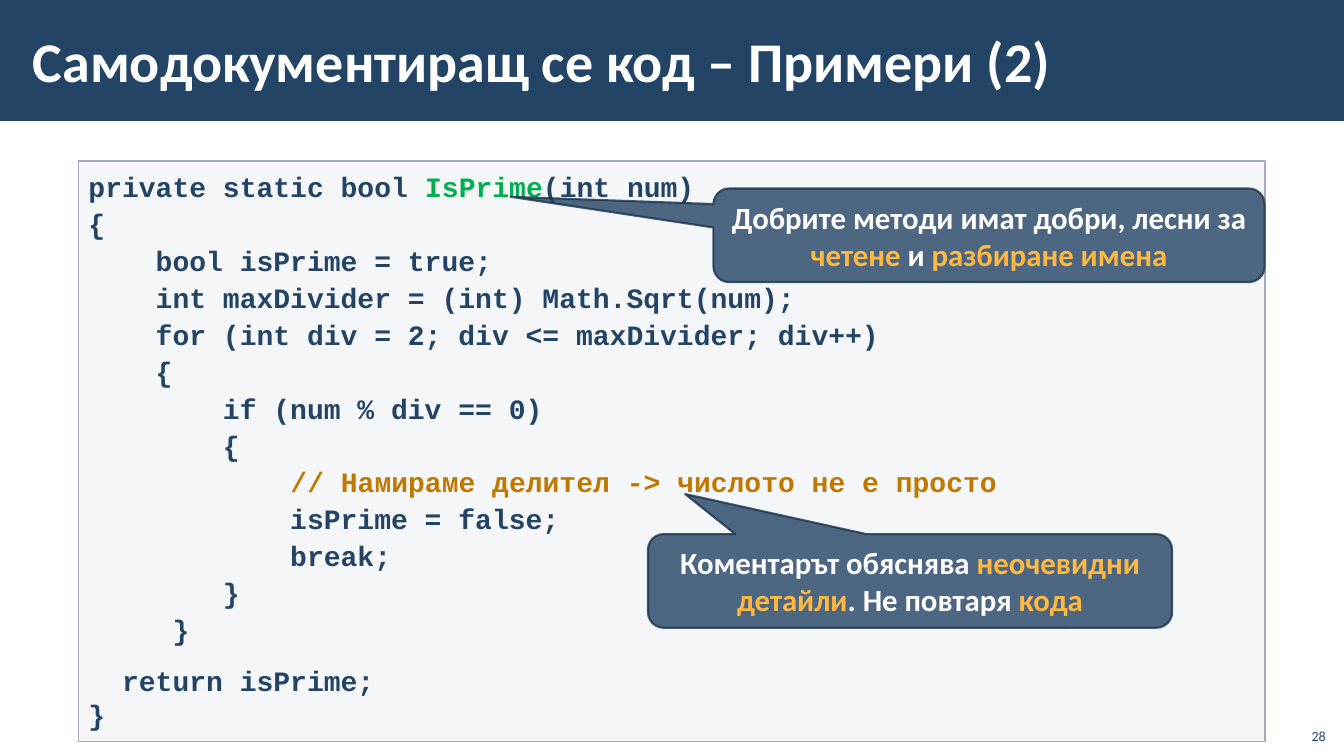
from lxml import etree
from pptx import Presentation
from pptx.dml.color import RGBColor
from pptx.enum import shapes, text
from pptx.oxml import ns
from pptx.util import Cm, Pt

COLORS = {
    "navy": "234465", "white": "FFFFFF", "green": "00B050", "ochre": "BF7800",
    "amber": "FFB840", "panel": "C2C7D2", "panel_line": "A3ABBC",
    "callout_line": "1A334B",
}
BODY_FONT, CODE_FONT = "Calibri", "Courier New"
CODE_PITCH, LAST_PITCH = Pt(26.4), Pt(24.3)

# Each code line is a list of (text, colour) runs
CODE = [
    [("private static bool ", "navy"), ("IsPrime", "green"), ("(int num)", "navy")],
    [("{", "navy")],
    [("    bool isPrime = true;", "navy")],
    [("    int maxDivider = (int) Math.Sqrt(num);", "navy")],
    [("    for (int div = 2; div <= maxDivider; div++)", "navy")],
    [("    {", "navy")],
    [("        if (num % div == 0)", "navy")],
    [("        {", "navy")],
    [("            ", "navy"), ("// Намираме делител -> числото не е просто", "ochre")],
    [("            isPrime = false;", "navy")],
    [("            break;", "navy")],
    [("        }", "navy")],
    [("     }", "navy")],
    [("  return isPrime;", "navy")],
    [("}", "navy")],
]
RETURN_LINE = 13

COMMENT_NOTE = [("Коментарът обяснява ", "white"), ("неочевидни детайли", "amber"),
                (". Не повтаря ", "white"), ("кода", "amber")]
NAMING_NOTE = [("Добрите методи имат добри, лесни за ", "white"), ("четене", "amber"),
               (" и ", "white"), ("разбиране имена", "amber")]


def color(name):
    return RGBColor.from_string(COLORS[name])


def set_opacity(color_format_parent, percent):
    """Add an alpha value to every solid colour below the given element."""
    for element in color_format_parent.iter(ns.qn("a:srgbClr")):
        alpha = etree.SubElement(element, ns.qn("a:alpha"))
        alpha.set("val", str(percent * 1000))


def add_runs(paragraph, runs, size, font=BODY_FONT, bold=True):
    for content, color_name in runs:
        run = paragraph.add_run()
        run.text = content
        run.font.name = font
        run.font.size = Pt(size)
        run.font.bold = bold
        run.font.color.rgb = color(color_name)


def add_panel(slide, kind, box, fill, line=None, line_width=1):
    shape = slide.shapes.add_shape(kind, *map(Cm, box))
    shape.shadow.inherit = False
    shape.fill.solid()
    shape.fill.fore_color.rgb = color(fill)
    if line:
        shape.line.color.rgb = color(line)
        shape.line.width = Pt(line_width)
    else:
        shape.line.fill.background()
    return shape


def add_header(slide, box, title):
    left, top, width, height = box
    add_panel(slide, shapes.MSO_SHAPE.RECTANGLE, box, "navy")
    title_box = slide.shapes.add_textbox(
        Cm(left + 0.53), Cm(top + 0.28), Cm(width - 5.35), Cm(height - 0.59))
    frame = title_box.text_frame
    frame.word_wrap = True
    frame.vertical_anchor = text.MSO_ANCHOR.MIDDLE
    frame.margin_left = frame.margin_right = Cm(0.3)
    frame.margin_top = frame.margin_bottom = Cm(0.1)
    add_runs(frame.paragraphs[0], [(title, "white")], 40)


def add_code(slide, box):
    panel = add_panel(slide, shapes.MSO_SHAPE.RECTANGLE, box, "panel", "panel_line")
    set_opacity(panel.fill._xPr.find(ns.qn("a:solidFill")), 15)
    frame = panel.text_frame
    frame.word_wrap = True
    frame.vertical_anchor = text.MSO_ANCHOR.TOP
    for index, runs in enumerate(CODE):
        paragraph = frame.add_paragraph() if index else frame.paragraphs[0]
        paragraph.alignment = text.PP_ALIGN.LEFT
        paragraph.line_spacing = LAST_PITCH if index == len(CODE) - 1 else CODE_PITCH
        if index == RETURN_LINE:
            paragraph.space_before = Pt(10)
        add_runs(paragraph, runs, 20, CODE_FONT)


def add_callout(slide, box, tip, runs):
    callout = add_panel(slide, shapes.MSO_SHAPE.ROUNDED_RECTANGULAR_CALLOUT, box,
                        "navy", "callout_line", 1.5)
    set_opacity(callout._element.spPr, 80)
    for index, value in enumerate((*tip, 0.167)):
        callout.adjustments[index] = value
    frame = callout.text_frame
    frame.word_wrap = True
    frame.vertical_anchor = text.MSO_ANCHOR.MIDDLE
    paragraph = frame.paragraphs[0]
    paragraph.alignment = text.PP_ALIGN.CENTER
    add_runs(paragraph, runs, 22)


def add_slide_number(slide, box, number):
    frame = slide.shapes.add_textbox(*map(Cm, box)).text_frame
    frame.word_wrap = True
    frame.vertical_anchor = text.MSO_ANCHOR.BOTTOM
    paragraph = frame.paragraphs[0]
    paragraph.alignment = text.PP_ALIGN.RIGHT
    add_runs(paragraph, [(number, "navy")], 10, bold=False)


def main():
    presentation = Presentation()
    presentation.slide_width, presentation.slide_height = Cm(33.87), Cm(19.05)
    slide = presentation.slides.add_slide(presentation.slide_layouts[6])

    add_header(slide, (0, 0, 33.87, 3.05), "Самодокументиращ се код – Примери (2)")
    add_code(slide, (1.98, 4.06, 29.9, 14.63))
    add_callout(slide, (16.33, 13.46, 13.21, 2.36), (-0.429, -0.928), COMMENT_NOTE)
    add_callout(slide, (17.98, 4.75, 13.89, 2.36), (-0.868, -0.411), NAMING_NOTE)
    add_slide_number(slide, (32.64, 18.08, 1.02, 0.81), "28")

    presentation.save("out.pptx")


if __name__ == "__main__":
    main()
